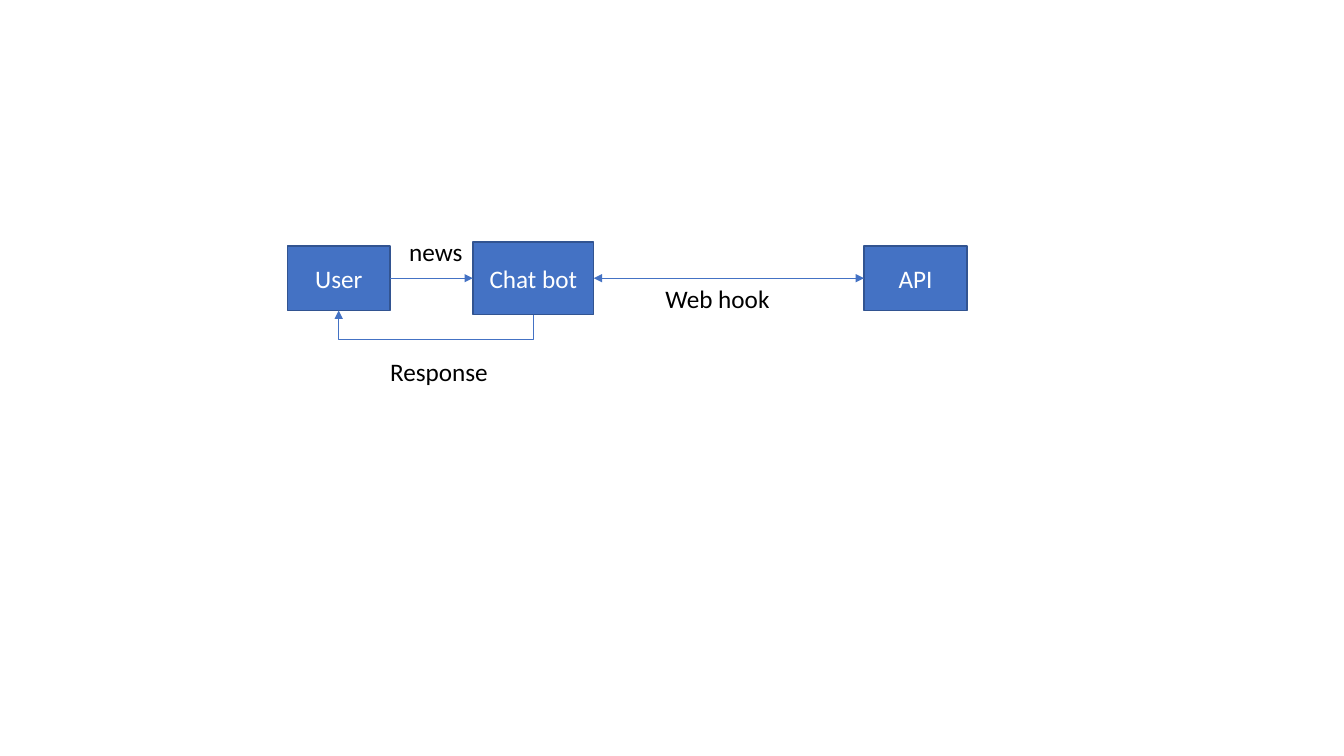
"""Build a slide that shows how a user, a chat bot and an API talk to each other."""
from lxml.etree import SubElement
from pptx import Presentation
from pptx.dml.color import RGBColor
from pptx.enum.shapes import MSO_CONNECTOR, MSO_SHAPE
from pptx.enum.text import MSO_ANCHOR, MSO_AUTO_SIZE, PP_ALIGN
from pptx.oxml.ns import qn
from pptx.util import Inches, Pt

BLUE = RGBColor(0x44, 0x72, 0xC4)
DARK_BLUE = RGBColor(0x32, 0x54, 0x91)
WHITE = RGBColor(0xFF, 0xFF, 0xFF)
BLACK = RGBColor(0x00, 0x00, 0x00)
MIDDLE = 2.76
TOP_SIDE, LEFT_SIDE, BOTTOM_SIDE, RIGHT_SIDE = range(4)


def write_text(frame, text, color):
    """Put one line of text into a frame and return its paragraph."""
    paragraph = frame.paragraphs[0]
    paragraph.text = text
    paragraph.font.name = "Calibri"
    paragraph.font.size = Pt(18)
    paragraph.font.color.rgb = color
    return paragraph


def add_node(page, text, left, width, height):
    """Add a blue box centred on the middle line."""
    node = page.shapes.add_shape(
        MSO_SHAPE.RECTANGLE, Inches(left), Inches(MIDDLE - height / 2),
        Inches(width), Inches(height))
    node.shadow.inherit = False
    node.fill.solid()
    node.fill.fore_color.rgb = BLUE
    node.line.color.rgb = DARK_BLUE
    node.line.width = Pt(1)
    node.text_frame.vertical_anchor = MSO_ANCHOR.MIDDLE
    write_text(node.text_frame, text, WHITE).alignment = PP_ALIGN.CENTER
    return node


def add_label(page, text, left, top, width):
    """Add a black label that does not wrap."""
    box = page.shapes.add_textbox(
        Inches(left), Inches(top), Inches(width), Inches(0.4))
    box.text_frame.word_wrap = False
    box.text_frame.auto_size = MSO_AUTO_SIZE.SHAPE_TO_FIT_TEXT
    write_text(box.text_frame, text, BLACK)


def style_arrow(connector, ends):
    """Colour a connector, give it arrowheads and remove its shadow."""
    connector.line.color.rgb = BLUE
    connector.line.width = Pt(0.5)
    properties = connector._element.spPr
    for end in ends:
        SubElement(properties.find(qn("a:ln")), qn(f"a:{end}"), type="triangle")
    SubElement(properties, qn("a:effectLst"))


def add_arrow(page, source, target, ends):
    """Join the facing sides of two boxes with a straight arrow."""
    connector = page.shapes.add_connector(MSO_CONNECTOR.STRAIGHT, 0, 0, 0, 0)
    connector.begin_connect(source, RIGHT_SIDE)
    connector.end_connect(target, LEFT_SIDE)
    style_arrow(connector, ends)


def add_return_arrow(page, source, target, drop):
    """Lead an elbow arrow below two boxes, from the right one to the left one."""
    start_x = source.left + source.width // 2
    start_y = source.top + source.height
    end_x = target.left + target.width // 2
    end_y = target.top + target.height
    center_x, center_y = (start_x + end_x) // 2, (start_y + end_y) // 2
    half_span, half_rise = (start_x - end_x) // 2, (start_y - end_y) // 2
    connector = page.shapes.add_connector(
        MSO_CONNECTOR.ELBOW,
        center_x + half_rise, center_y - half_span,
        center_x - half_rise, center_y + half_span)
    properties = connector._element.spPr
    properties.find(qn("a:xfrm")).set("rot", str(90 * 60000))
    bend = round(-100000 * drop / (2 * half_rise))
    guides = properties.find(qn("a:prstGeom")).find(qn("a:avLst"))
    SubElement(guides, qn("a:gd"), name="adj1", fmla=f"val {bend}")
    style_arrow(connector, ["tailEnd"])


def main():
    """Build and save the deck."""
    deck = Presentation()
    deck.slide_width, deck.slide_height = Inches(13.33), Inches(7.5)
    page = deck.slides.add_slide(deck.slide_layouts[6])

    bot = add_node(page, "Chat bot", 4.69, 1.2, 0.72)
    user = add_node(page, "User", 2.85, 1.02, 0.64)
    api = add_node(page, "API", 8.57, 1.02, 0.64)

    add_arrow(page, user, bot, ["tailEnd"])
    add_arrow(page, bot, api, ["headEnd", "tailEnd"])
    add_return_arrow(page, bot, user, Inches(0.25))

    add_label(page, "news", 3.96, 2.3, 0.74)
    add_label(page, "Web hook", 6.5, 2.76, 1.25)
    add_label(page, "Response", 3.77, 3.49, 1.18)
    deck.save("out.pptx")


if __name__ == "__main__":
    main()
